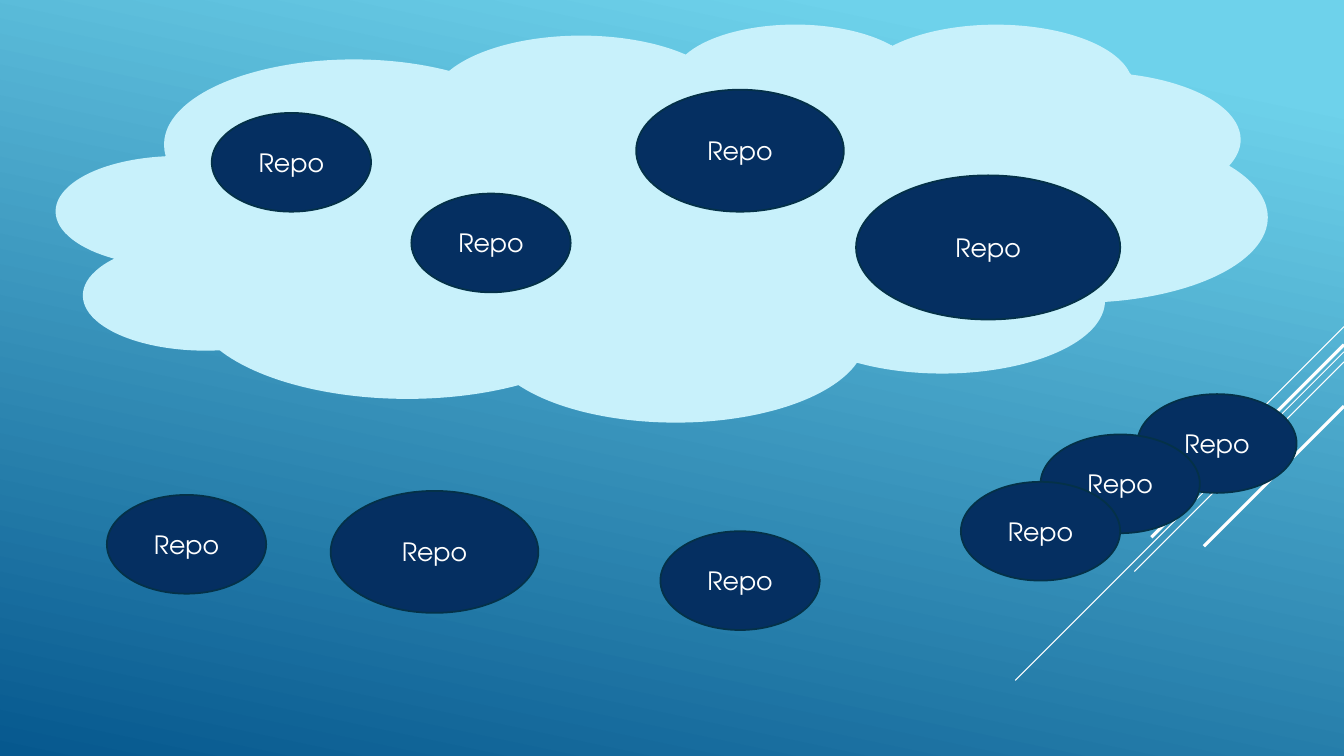
from dataclasses import dataclass

from lxml import etree
from pptx import Presentation
from pptx.dml.color import RGBColor
from pptx.enum.shapes import MSO_CONNECTOR as Connector, MSO_SHAPE as Shape
from pptx.enum.text import MSO_ANCHOR as Anchor, PP_ALIGN as Align
from pptx.oxml.ns import qn
from pptx.util import Inches, Pt


@dataclass(frozen=True)
class Theme:
    sky: str = "6ED2EB"
    deep: str = "06588E"
    cloud: str = "C8F1FB"
    repo: str = "052F61"
    repo_edge: str = "043148"
    white: str = "FFFFFF"
    font: str = "TeX Gyre Adventor"
    text_size: float = 18
    edge_width: float = 1.25


theme = Theme()
WIDTH, HEIGHT = 13.33, 7.5

presentation = Presentation()
presentation.slide_width = Inches(WIDTH)
presentation.slide_height = Inches(HEIGHT)
slide = presentation.slides.add_slide(presentation.slide_layouts[6])


def add_filled_shape(preset, left, top, width, height, fill, edge):
    shape = slide.shapes.add_shape(
        preset, Inches(left), Inches(top), Inches(width), Inches(height))
    shape.shadow.inherit = False
    shape.fill.solid()
    shape.fill.fore_color.rgb = RGBColor.from_string(fill)
    shape.line.color.rgb = RGBColor.from_string(edge)
    shape.line.width = Pt(theme.edge_width)
    return shape


def write_text(shape, text, size=theme.text_size, color=theme.white,
               align=Align.CENTER, anchor=Anchor.MIDDLE):
    frame = shape.text_frame
    frame.word_wrap = True
    frame.vertical_anchor = anchor
    paragraph = frame.paragraphs[0]
    paragraph.alignment = align
    run = paragraph.add_run()
    run.text = text
    run.font.name = theme.font
    run.font.size = Pt(size)
    run.font.color.rgb = RGBColor.from_string(color)


# Background; python-pptx counts gradient angles counter-clockwise
background = slide.background.fill
background.gradient()
background.gradient_angle = 360 - 102
for stop, position, color in zip(
        background.gradient_stops, (0.1, 1), (theme.sky, theme.deep)):
    stop.position = position
    stop.color.rgb = RGBColor.from_string(color)

# Streaks fall at 45 degrees from the right edge: start height, drop, line width
streaks = [
    (3.24, 1.0, 0.75),
    (3.49, 3.26, 0.75),
    (3.59, 2.08, 0.75),
    (3.42, 1.91, 2.25),
    (4.03, 1.39, 2.25),
]
for start, drop, line_width in streaks:
    streak = slide.shapes.add_connector(
        Connector.STRAIGHT, Inches(WIDTH), Inches(start),
        Inches(WIDTH - drop), Inches(start + drop))
    streak.line.color.rgb = RGBColor.from_string(theme.white)
    streak.line.width = Pt(line_width)
    etree.SubElement(streak._element.spPr, qn("a:effectLst"))

# Repos outside the cloud, then the cloud, then the repos in it
SMALL, MEDIUM, LARGE = (1.58, 0.98), (2.06, 1.21), (2.62, 1.43)
local_repos = [
    (11.28, 3.91, SMALL),
    (10.32, 4.31, SMALL),
    (1.06, 4.91, SMALL),
    (3.28, 4.87, MEDIUM),
    (6.55, 5.27, SMALL),
    (9.53, 4.78, SMALL),
]
cloud_repos = [
    (2.1, 1.12, SMALL),
    (4.08, 1.92, SMALL),
    (6.31, 0.89, MEDIUM),
    (8.49, 1.74, LARGE),
]
for repos in (local_repos, cloud_repos):
    if repos is cloud_repos:
        add_filled_shape(Shape.CLOUD, 0.57, 0.24, 11.99, 3.93,
                         theme.cloud, theme.cloud)
    for left, top, (width, height) in repos:
        repo = add_filled_shape(Shape.OVAL, left, top, width, height,
                                theme.repo, theme.repo_edge)
        write_text(repo, "Repo")

presentation.save("out.pptx")
